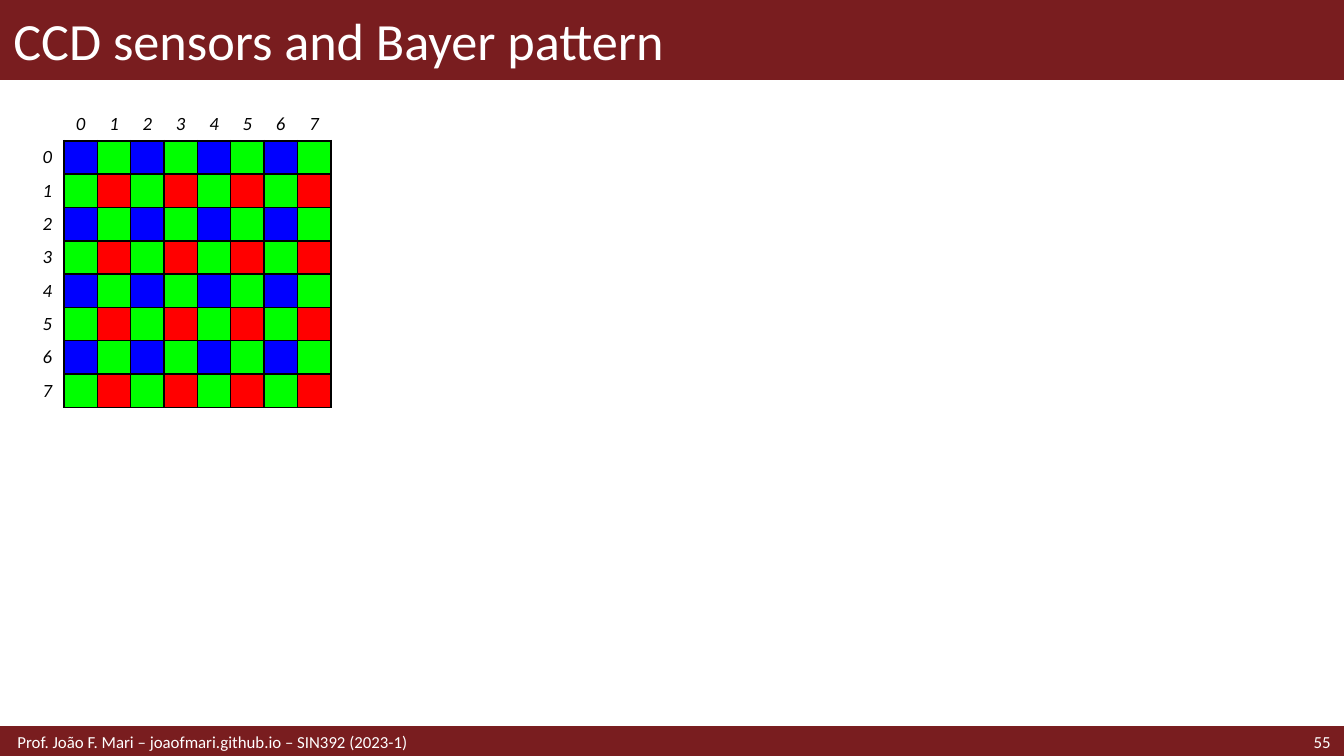
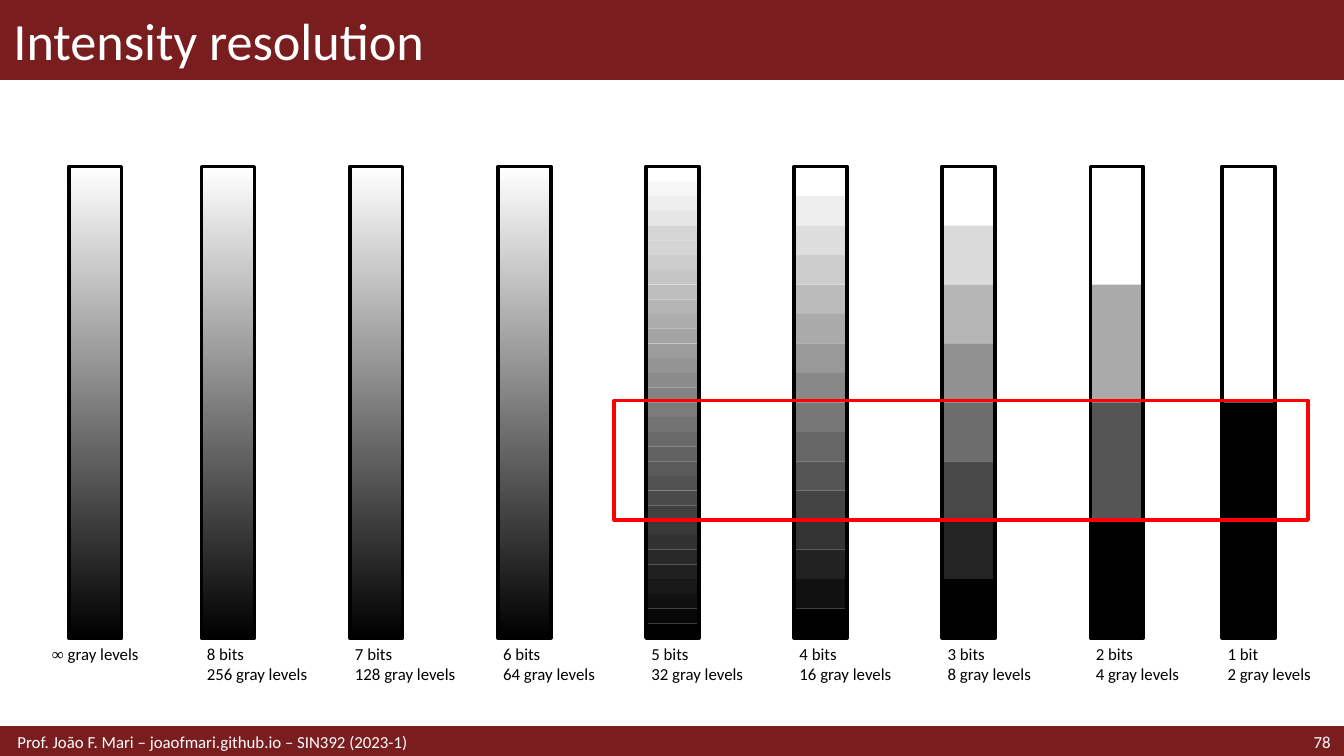
"""Builds two lecture slides: the Bayer pattern and intensity resolution."""
import lxml.etree
import pptx
import pptx.dml.color
import pptx.enum.shapes
import pptx.enum.text
import pptx.oxml.ns
import pptx.util

Cm = pptx.util.Cm
Pt = pptx.util.Pt
qn = pptx.oxml.ns.qn
ALIGN = pptx.enum.text.PP_ALIGN
MIDDLE = pptx.enum.text.MSO_ANCHOR.MIDDLE
RECTANGLE = pptx.enum.shapes.MSO_SHAPE.RECTANGLE

COLORS = {
    "band": "791D1F",
    "white": "FFFFFF",
    "black": "000000",
    "red": "FF0000",
    "green": "00FF00",
    "blue": "0000FF",
}
FONT = "Calibri"
FOOTER = "Prof. João F. Mari – joaofmari.github.io – SIN392 (2023-1)"
NO_STYLE = "{2D5ABB26-0587-4C30-8999-92F81FD0307C}"
WIDTH, HEIGHT = 25.4, 14.29
BAND_H, FOOTER_TOP, FOOTER_H = 1.5, 13.76, 0.53
BAYER = [["blue", "green"], ["green", "red"]]
BAYER_SIZE, BAYER_CELL = 8, 0.63
BAR_TOP, BAR_W, BAR_H = 3.15, 1, 8.91
FIRST_BAR, LAST_BAR, BITS_BAR, BAR_STEP = 1.3, 23.1, 3.81, 2.8
LABEL_TOP, LABEL_H = 12.06, 0.86


def rgb(value):
    return pptx.dml.color.RGBColor.from_string(value)


def box(x, y, w, h):
    return Cm(x), Cm(y), Cm(w), Cm(h)


def format_text(tf, size, color, align=ALIGN.LEFT, italic=None):
    for p in tf.paragraphs:
        p.alignment = align
        for r in p.runs:
            r.font.name = FONT
            r.font.size = Pt(size)
            r.font.italic = italic
            r.font.color.rgb = rgb(COLORS[color])


def add_rect(shapes, place, fill=None, line=None, width=1):
    sp = shapes.add_shape(RECTANGLE, *place)
    sp.shadow.inherit = False
    if fill:
        sp.fill.solid()
        sp.fill.fore_color.rgb = rgb(fill)
    else:
        sp.fill.background()
    if line:
        sp.line.color.rgb = rgb(COLORS[line])
        sp.line.width = Pt(width)
    else:
        sp.line.fill.background()
    return sp


def add_text(slide, place, text, color="black", align=ALIGN.LEFT):
    sp = slide.shapes.add_textbox(*place)
    tf = sp.text_frame
    tf.word_wrap = True
    tf.text = text
    format_text(tf, 9, color, align)
    return tf


def add_slide(prs, title, number):
    slide = prs.slides.add_slide(prs.slide_layouts[5])
    head = box(0, 0, WIDTH, BAND_H)
    add_rect(slide.shapes, head, COLORS["band"], "band")
    add_rect(slide.shapes, box(0, FOOTER_TOP, WIDTH, FOOTER_H), COLORS["band"], "band", 2)
    sp = slide.shapes.title
    slide.shapes._spTree.append(sp._element)
    sp.left, sp.top, sp.width, sp.height = head
    sp.text_frame.text = title
    sp.text_frame.vertical_anchor = MIDDLE
    format_text(sp.text_frame, 28, "white")
    tf = add_text(slide, box(22.5, FOOTER_TOP, 2.9, FOOTER_H), str(number), "white", ALIGN.RIGHT)
    tf.vertical_anchor = MIDDLE
    tf = add_text(slide, box(0, FOOTER_TOP, 17.5, FOOTER_H), FOOTER, "white")
    tf.vertical_anchor = MIDDLE
    tf.margin_left = Cm(0.33)
    return slide


def set_borders(cell, sides):
    tc_pr = cell._tc.get_or_add_tcPr()
    for i, side in enumerate(sides):
        ln = lxml.etree.Element(qn(f"a:ln{side}"), w=str(Pt(1)))
        fill = lxml.etree.SubElement(ln, qn("a:solidFill"))
        lxml.etree.SubElement(fill, qn("a:srgbClr"), val=COLORS["black"])
        tc_pr.insert(i, ln)


def fill_cell(cell, text="", color=None, borders=""):
    cell.margin_left = cell.margin_right = cell.margin_top = cell.margin_bottom = 0
    cell.vertical_anchor = MIDDLE
    if color:
        cell.fill.solid()
        cell.fill.fore_color.rgb = rgb(COLORS[color])
    else:
        cell.fill.background()
    if text:
        cell.text_frame.text = text
        format_text(cell.text_frame, 10, "black", ALIGN.CENTER, True)
    else:
        p = cell.text_frame.paragraphs[0]
        lxml.etree.SubElement(p._p, qn("a:endParaRPr"), sz="1000")
    set_borders(cell, borders)


def add_bayer_table(slide):
    n = BAYER_SIZE + 1
    side = n * BAYER_CELL
    table = slide.shapes.add_table(n, n, *box(0.58, 2.03, side, side)).table
    table.first_row = table.horz_banding = False
    table._tbl.tblPr.find(qn("a:tableStyleId")).text = NO_STYLE
    for line in [*table.columns]:
        line.width = Cm(BAYER_CELL)
    for line in table.rows:
        line.height = Cm(BAYER_CELL)
    fill_cell(table.cell(0, 0))
    for i in range(BAYER_SIZE):
        fill_cell(table.cell(0, i + 1), str(i), borders="B")
        fill_cell(table.cell(i + 1, 0), str(i), borders="R")
        for j in range(BAYER_SIZE):
            fill_cell(table.cell(i + 1, j + 1), color=BAYER[i % 2][j % 2], borders="LRTB")


def add_turned_rect(shapes, x, y, w, h, fill):
    place = box(x + (w - h) / 2, y + (h - w) / 2, h, w)
    sp = add_rect(shapes, place, fill)
    sp.rotation = 270
    return sp


def add_gradient_bar(slide, x):
    sp = add_turned_rect(slide.shapes, x, BAR_TOP, BAR_W, BAR_H, COLORS["white"])
    sp.fill.gradient()
    sp.fill.gradient_angle = 180
    for stop, color in zip(sp.fill.gradient_stops, ("white", "black")):
        stop.color.rgb = rgb(COLORS[color])


def gray(level, levels):
    if (level, levels) == (4, 32):
        level = 5
    value = 255 * (levels - 1 - level) // (levels - 1)
    return f"{value:02X}" * 3


def add_stepped_bar(slide, x, levels):
    grp = slide.shapes.add_group_shape()
    step = BAR_H / levels
    for i in range(levels):
        add_turned_rect(grp.shapes, x, BAR_TOP + i * step, BAR_W, step, gray(i, levels))


def add_label(slide, x, w, text, align=ALIGN.LEFT):
    tf = add_text(slide, box(x, LABEL_TOP, w, LABEL_H), text, align=align)
    tf.margin_left = tf.margin_right = tf.margin_top = tf.margin_bottom = Cm(0.1)
    return tf


def add_outline(slide, x):
    add_rect(slide.shapes, box(x, BAR_TOP, BAR_W, BAR_H), line="black", width=2)


def add_bits_bar(slide, x, bits):
    levels = 2 ** bits
    if bits > 5:
        add_gradient_bar(slide, x)
    else:
        add_stepped_bar(slide, x, levels)
    add_outline(slide, x)
    unit = "bit" if bits == 1 else "bits"
    w = 2.8 if levels > 99 else 2.48
    add_label(slide, x, min(w, WIDTH - x), f"{bits} {unit}\n{levels} gray levels")


def add_continuous_bar(slide):
    add_gradient_bar(slide, FIRST_BAR)
    add_outline(slide, FIRST_BAR)
    tf = add_label(slide, 0.56, 2.48, "∞", ALIGN.CENTER)
    p = tf.paragraphs[0]
    p.add_run().text = " gray levels"
    format_text(tf, 9, "black", ALIGN.CENTER)
    p.runs[0].font.name = "Times New Roman"


def main():
    prs = pptx.Presentation()
    prs.slide_width, prs.slide_height = Cm(WIDTH), Cm(HEIGHT)

    slide = add_slide(prs, "CCD sensors and Bayer pattern", 55)
    add_bayer_table(slide)

    slide = add_slide(prs, "Intensity resolution", 78)
    add_continuous_bar(slide)
    for i, bits in enumerate(range(8, 1, -1)):
        add_bits_bar(slide, BITS_BAR + i * BAR_STEP, bits)
    add_bits_bar(slide, LAST_BAR, 1)
    add_rect(slide.shapes, box(11.61, 7.57, 13.11, 2.26), line="red", width=2)

    prs.save("out.pptx")


if __name__ == "__main__":
    main()
